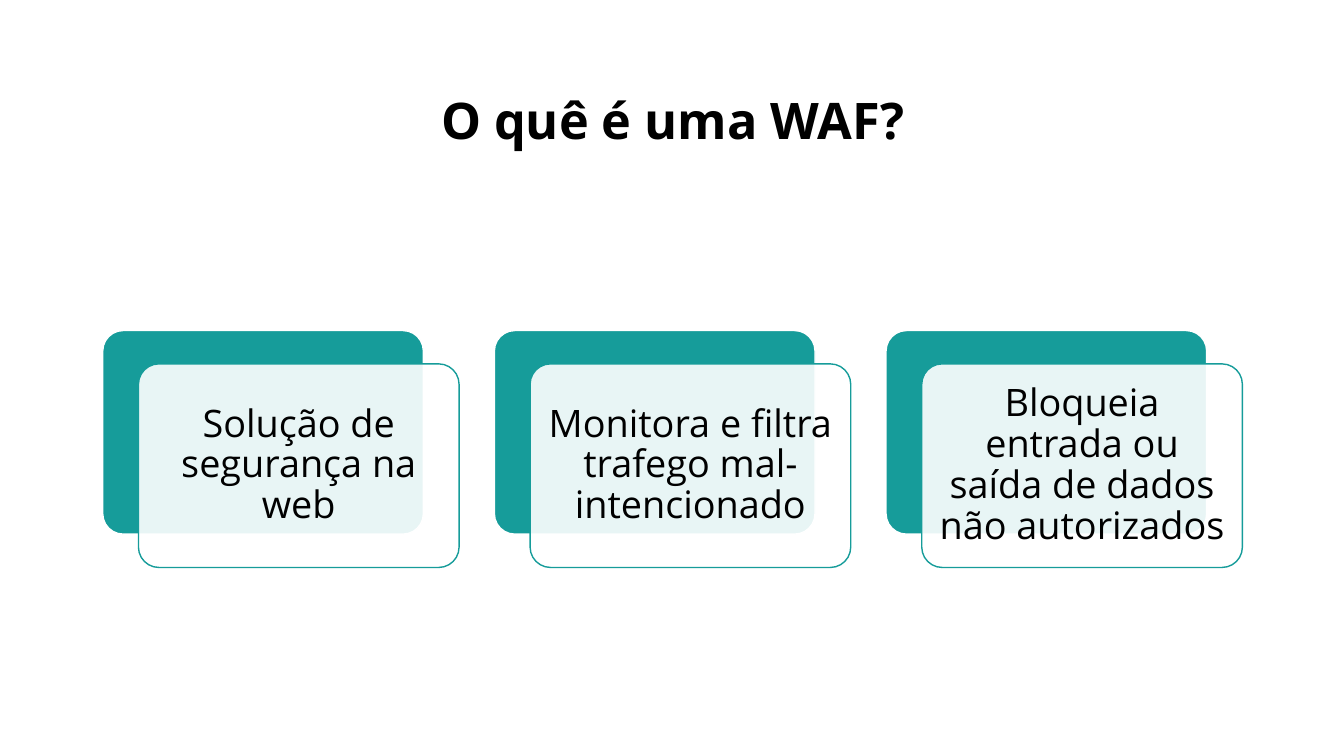
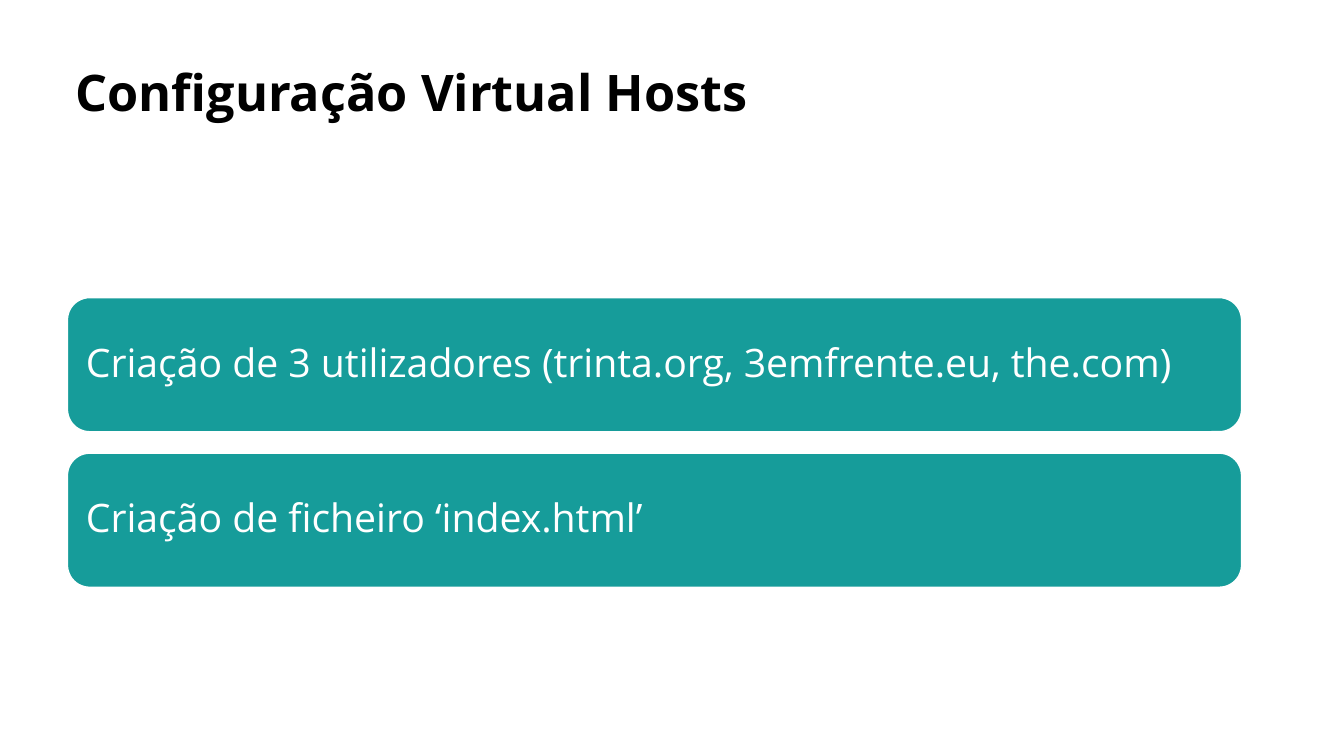
from dataclasses import dataclass

from lxml import etree
from pptx import Presentation
from pptx import util as u
from pptx.dml import color
from pptx.enum import shapes, text
from pptx.oxml import ns

COLORS = {"teal": "169C9A", "white": "FFFFFF", "black": "000000"}
FONT = "Open Sans"
MARGINS = ("margin_left", "margin_top", "margin_right", "margin_bottom")
LEFT, CENTER = text.PP_ALIGN.LEFT, text.PP_ALIGN.CENTER
TOP, MIDDLE = text.MSO_ANCHOR.TOP, text.MSO_ANCHOR.MIDDLE

BENEFITS = (
    "Solução de segurança na web",
    "Monitora e filtra trafego mal-intencionado",
    "Bloqueia entrada ou saída de dados não autorizados",
)
STEPS = (
    "Criação de 3 utilizadores (trinta.org, 3emfrente.eu, the.com)",
    "Criação de ficheiro ‘index.html’",
)


@dataclass(frozen=True)
class Box:
    """A rectangle in centimetres."""
    left: float
    top: float
    width: float
    height: float

    def moved(self, right: float = 0, down: float = 0) -> "Box":
        return Box(self.left + right, self.top + down, self.width, self.height)

    def lengths(self) -> tuple:
        return tuple(u.Cm(v) for v in (self.left, self.top, self.width, self.height))


@dataclass(frozen=True)
class TextStyle:
    size: float
    ink: str
    align: text.PP_ALIGN
    anchor: text.MSO_ANCHOR = MIDDLE
    bold: bool = False
    inset: float = 0.28


@dataclass(frozen=True)
class PanelStyle:
    fill: str
    outline: str
    corner: float
    opacity: int = 100


BENEFIT_TEXT = TextStyle(27, "black", CENTER)
STEP_TEXT = TextStyle(28, "white", LEFT, inset=0.3)
CARD_BACK = PanelStyle("teal", "white", 0.1)
CARD_FRONT = PanelStyle("white", "teal", 0.1, opacity=90)
STEP_BAR = PanelStyle("teal", "white", 0.1667)

FIRST_CARD = Box(2.59, 8.33, 8.08, 5.13)
CARD_PITCH = 9.87
FRONT_SHIFT = {"right": 0.9, "down": 0.84}
FIRST_BAR = Box(1.7, 7.5, 29.59, 3.38)
BAR_PITCH = 3.92


def rgb(name: str) -> color.RGBColor:
    return color.RGBColor.from_string(COLORS[name])


def write(shape, wording: str, style: TextStyle) -> None:
    frame = shape.text_frame
    frame_format = {"word_wrap": True, "vertical_anchor": style.anchor}
    frame_format.update(dict.fromkeys(MARGINS, u.Cm(style.inset)))
    paragraph = frame.paragraphs[0]
    run = paragraph.add_run()
    run.text = wording
    run.font.color.rgb = rgb(style.ink)
    formats = (
        (frame, frame_format),
        (paragraph, {"alignment": style.align, "line_spacing": 0.9}),
        (run.font, {"name": FONT, "size": u.Pt(style.size), "bold": style.bold}),
    )
    for target, values in formats:
        for attribute, value in values.items():
            setattr(target, attribute, value)


def add_title(slide, wording: str, box: Box, align: text.PP_ALIGN,
              anchor: text.MSO_ANCHOR) -> None:
    title = slide.shapes.add_textbox(*box.lengths())
    write(title, wording, TextStyle(36, "black", align, anchor, bold=True, inset=0.2))


def add_panel(slide, box: Box, style: PanelStyle):
    panel = slide.shapes.add_shape(shapes.MSO_SHAPE.ROUNDED_RECTANGLE, *box.lengths())
    panel.adjustments[0] = style.corner
    panel.shadow.inherit = False
    panel.fill.solid()
    panel.fill.fore_color.rgb = rgb(style.fill)
    if style.opacity < 100:
        fill_color = panel.fill._xPr.find(ns.qn("a:solidFill"))[0]
        alpha = etree.SubElement(fill_color, ns.qn("a:alpha"))
        alpha.set("val", str(style.opacity * 1000))
    panel.line.color.rgb = rgb(style.outline)
    panel.line.width = u.Pt(1)
    return panel


def build_waf(slide) -> None:
    add_title(slide, "O quê é uma WAF?", Box(4.24, 1.52, 25.45, 3.15), CENTER, MIDDLE)
    for index, benefit in enumerate(BENEFITS):
        back = FIRST_CARD.moved(right=index * CARD_PITCH)
        add_panel(slide, back, CARD_BACK)
        front = add_panel(slide, back.moved(**FRONT_SHIFT), CARD_FRONT)
        write(front, benefit, BENEFIT_TEXT)


def build_hosts(slide) -> None:
    add_title(slide, "Configuração Virtual Hosts", Box(1.7, 1.52, 29.59, 3.15), LEFT, TOP)
    for index, step in enumerate(STEPS):
        bar = add_panel(slide, FIRST_BAR.moved(down=index * BAR_PITCH), STEP_BAR)
        write(bar, step, STEP_TEXT)


def main() -> None:
    deck = Presentation()
    deck.slide_width, deck.slide_height = u.Cm(33.87), u.Cm(19.05)
    blank = deck.slide_layouts[6]
    for build in (build_waf, build_hosts):
        build(deck.slides.add_slide(blank))
    deck.save("out.pptx")


if __name__ == "__main__":
    main()
